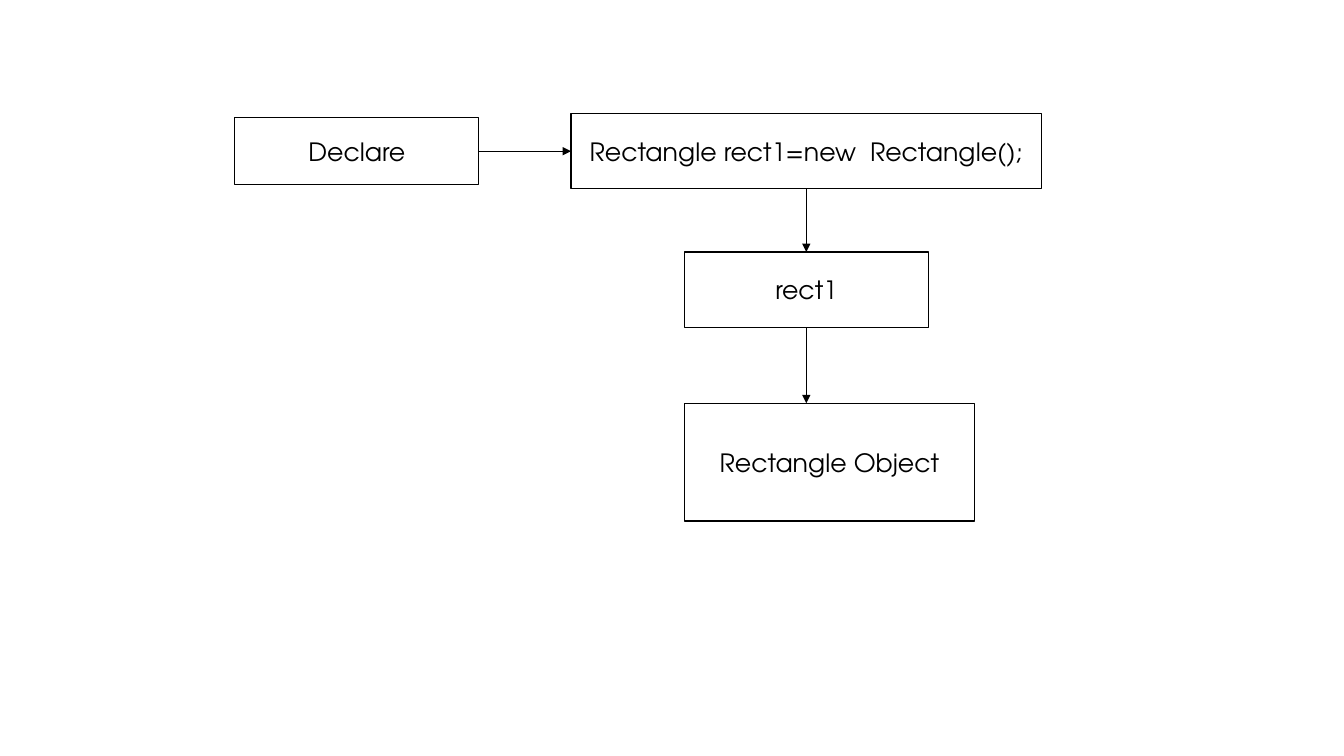
from lxml.etree import SubElement
from pptx import Presentation
from pptx.dml.color import RGBColor
from pptx.enum.shapes import MSO_CONNECTOR as Connector, MSO_SHAPE as Shape
from pptx.enum.text import MSO_ANCHOR as Anchor, PP_ALIGN as Align
from pptx.oxml.ns import qn
from pptx.util import Cm, Pt

TOP, LEFT, BOTTOM, RIGHT = range(4)


def color(hex_string):
    return RGBColor.from_string(hex_string)


class Diagram:
    font = "TeX Gyre Adventor"
    text_size = Pt(18)
    ink = "000000"
    paper = "FFFFFF"
    border = Pt(0.85)
    arrow_width = Pt(0.75)

    def __init__(self, slide):
        self.slide = slide

    def box(self, text, left, top, width, height):
        box = self.slide.shapes.add_shape(
            Shape.RECTANGLE, Cm(left), Cm(top), Cm(width), Cm(height))
        box.shadow.inherit = False
        box.fill.solid()
        box.fill.fore_color.rgb = color(self.paper)
        box.line.color.rgb = color(self.ink)
        box.line.width = self.border
        frame = box.text_frame
        frame.word_wrap = False
        frame.vertical_anchor = Anchor.MIDDLE
        paragraph = frame.paragraphs[0]
        paragraph.alignment = Align.CENTER
        run = paragraph.add_run()
        run.text = text
        run.font.name = self.font
        run.font.size = self.text_size
        run.font.color.rgb = color(self.ink)
        return box

    def arrow(self, source, source_side, end_x, end_y, target=None, target_side=TOP):
        arrow = self.slide.shapes.add_connector(
            Connector.STRAIGHT, 0, 0, Cm(end_x), Cm(end_y))
        arrow.begin_connect(source, source_side)
        if target is not None:
            arrow.end_connect(target, target_side)
        arrow.line.color.rgb = color(self.ink)
        arrow.line.width = self.arrow_width
        SubElement(arrow.line._get_or_add_ln(), qn("a:tailEnd"), type="triangle")
        SubElement(arrow._element.spPr, qn("a:effectLst"))


def main():
    presentation = Presentation()
    presentation.slide_width = Cm(33.87)
    presentation.slide_height = Cm(19.05)
    diagram = Diagram(presentation.slides.add_slide(presentation.slide_layouts[6]))

    axis_x, declare_y = 20.32, 3.81
    small_width, row_height = 6.15, 1.9
    statement_width, declare_height = 11.86, 1.7
    variable_left = axis_x - small_width / 2
    statement_left = axis_x - statement_width / 2
    variable_top, object_top = 6.35, 10.16

    declare = diagram.box(
        "Declare", 5.92, declare_y - declare_height / 2, small_width, declare_height)
    statement = diagram.box(
        "Rectangle rect1=new  Rectangle();", statement_left,
        declare_y - row_height / 2, statement_width, row_height)
    variable = diagram.box(
        "rect1", variable_left, variable_top, small_width, row_height)
    diagram.box("Rectangle Object", variable_left, object_top, 7.32, 2.97)

    diagram.arrow(declare, RIGHT, statement_left, declare_y, statement, LEFT)
    diagram.arrow(statement, BOTTOM, axis_x, variable_top, variable, TOP)
    diagram.arrow(variable, BOTTOM, axis_x, object_top)

    presentation.save("out.pptx")


if __name__ == "__main__":
    main()
